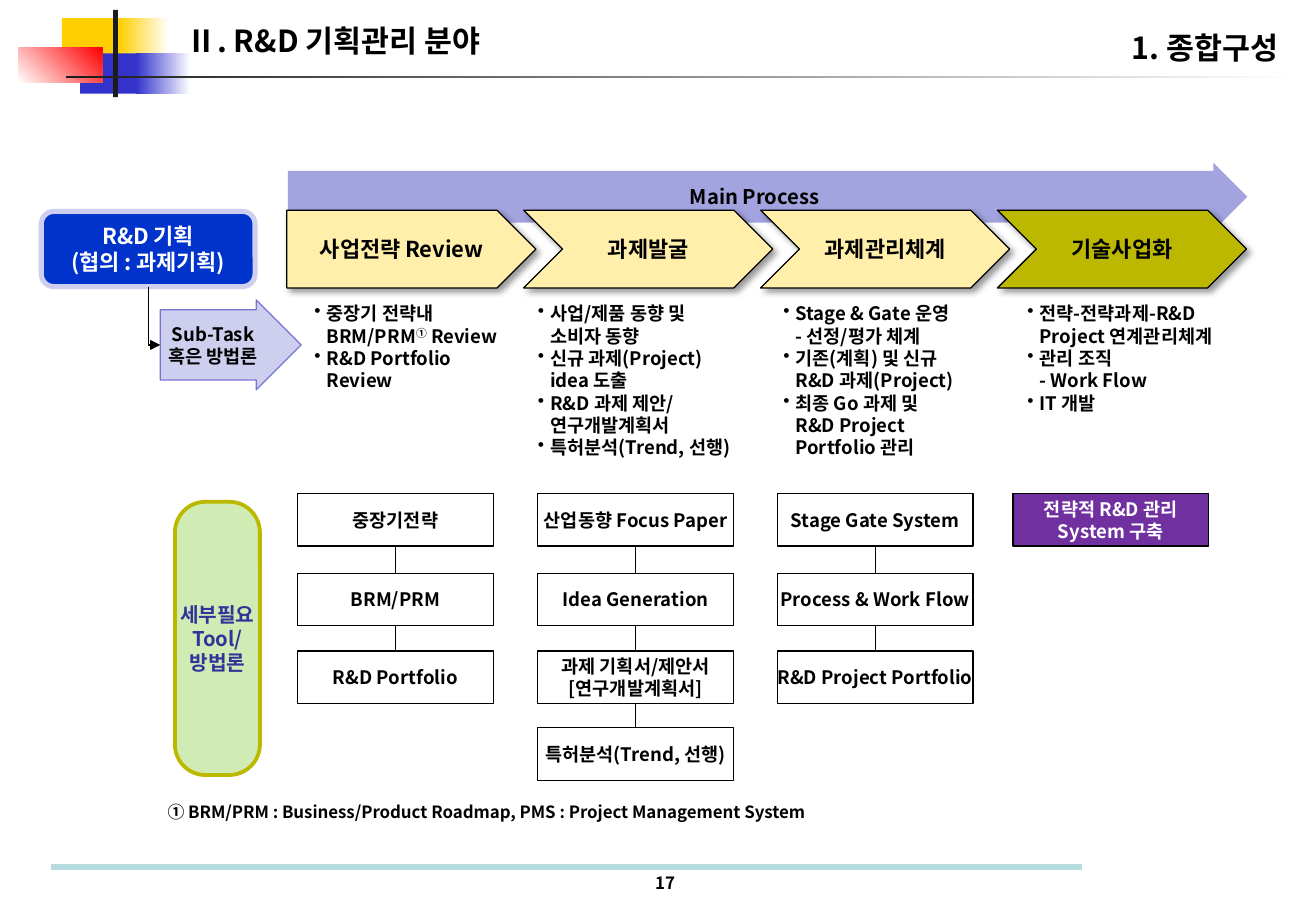
from dataclasses import dataclass

import lxml.etree
import pptx
import pptx.dml.color
import pptx.enum.shapes
import pptx.enum.text
import pptx.oxml.ns
import pptx.util

Pt = pptx.util.Pt
Shape = pptx.enum.shapes.MSO_SHAPE
Line = pptx.enum.shapes.MSO_CONNECTOR
Align = pptx.enum.text.PP_ALIGN
qn = pptx.oxml.ns.qn


@dataclass(frozen=True)
class Theme:
    font: str = "Noto Sans CJK KR"
    line_pitch: float = 1.2
    title_size: int = 18
    stage_size: int = 13
    label_size: int = 12
    body_size: int = 11
    note_size: int = 10
    black: str = "000000"
    white: str = "FFFFFF"
    dark: str = "1C1C1C"
    yellow: str = "FFCF01"
    indigo: str = "3333CC"
    red: str = "FF0000"
    process: str = "A3A3E0"
    stage: str = "FFEFAB"
    olive: str = "BCB800"
    plan: str = "0033CC"
    lavender: str = "CECEEF"
    lavender_edge: str = "7575D1"
    green: str = "D0EBB3"
    navy: str = "333399"
    purple: str = "7030A0"
    footer: str = "B6DCDF"


def rgb(value):
    return pptx.dml.color.RGBColor.from_string(value)


def sub(parent, tag, **attributes):
    return lxml.etree.SubElement(parent, qn(tag), attributes)


class SlideBuilder:
    def __init__(self, slide, theme):
        self.shapes = slide.shapes
        self.theme = theme

    def style(self, paragraph, size, color, align=Align.LEFT):
        paragraph.alignment = align
        paragraph.line_spacing = Pt(round(size * self.theme.line_pitch, 1))
        for run in paragraph.runs:
            run.font.size = Pt(size)
            run.font.bold = True
            run.font.color.rgb = rgb(color)
            run.font.name = self.theme.font
            sub(run._r.get_or_add_rPr(), "a:ea", typeface=self.theme.font)

    def shape(self, kind, box, fill, text="", size=None, color=None,
              edge=None, edge_width=0.75, adjust=()):
        item = self.shapes.add_shape(kind, *map(Pt, box))
        item.shadow.inherit = False
        for index, value in enumerate(adjust):
            item.adjustments[index] = value
        item.fill.solid()
        item.fill.fore_color.rgb = rgb(fill)
        if edge:
            item.line.color.rgb = rgb(edge)
            item.line.width = Pt(edge_width)
        else:
            item.line.fill.background()
        if text:
            frame = item.text_frame
            frame.word_wrap = False
            frame.margin_left = frame.margin_right = 0
            frame.margin_top = frame.margin_bottom = 0
            frame.vertical_anchor = pptx.enum.text.MSO_ANCHOR.MIDDLE
            frame.text = text
            for paragraph in frame.paragraphs:
                self.style(paragraph, size or self.theme.body_size,
                           color or self.theme.black, Align.CENTER)
        return item

    def fade(self, box, start, end, angle=0):
        """Rectangle with a gradient; the angle runs counter-clockwise."""
        band = self.shape(Shape.RECTANGLE, box, start)
        band.fill.gradient()
        band.fill.gradient_angle = angle
        for stop, color in zip(band.fill.gradient_stops, (start, end)):
            stop.color.rgb = rgb(color)

    def drop_shadow(self, item):
        effects = item._element.spPr.find(qn("a:effectLst"))
        shadow = sub(effects, "a:outerShdw", blurRad=str(Pt(4)), dist=str(Pt(3)),
                     dir="2700000", algn="tl", rotWithShape="0")
        color = sub(shadow, "a:srgbClr", val=self.theme.black)
        sub(color, "a:alpha", val="40000")

    def text(self, box, text, size, align=Align.LEFT):
        frame = self.shapes.add_textbox(*map(Pt, box)).text_frame
        frame.word_wrap = align == Align.LEFT
        frame.text = text
        self.style(frame.paragraphs[0], size, self.theme.black, align)

    def bullets(self, box, points):
        """Bulleted list in which the mark ① is raised."""
        frame = self.shapes.add_textbox(*map(Pt, box)).text_frame
        frame.word_wrap = True
        for index, point in enumerate(points):
            paragraph = frame.add_paragraph() if index else frame.paragraphs[0]
            before, mark, after = point.partition("①")
            paragraph.text = before
            if mark:
                raised, rest = paragraph.add_run(), paragraph.add_run()
                raised.text, rest.text = mark, after
                raised._r.get_or_add_rPr().set("baseline", "30000")
            self.style(paragraph, self.theme.body_size, self.theme.black)
            properties = paragraph._p.get_or_add_pPr()
            properties.set("marL", str(Pt(7.2)))
            properties.set("indent", str(-Pt(7.2)))
            sub(properties, "a:buChar", char="•")

    def line(self, start, end, color, width, kind=Line.STRAIGHT):
        link = self.shapes.add_connector(kind, *map(Pt, start + end))
        link.line.color.rgb = rgb(color)
        link.line.width = Pt(width)
        sub(link._element.spPr, "a:effectLst")
        return link

    def join(self, upper, lower):
        link = self.line((0, 0), (0, 0), self.theme.black, 0.75)
        link.begin_connect(upper, 2)
        link.end_connect(lower, 0)

    def corner_arrow(self, source, target):
        """Arrow going down from source, then right into target."""
        link = self.line((0, 0), (0, 0), self.theme.black, 0.75, Line.ELBOW)
        link.begin_connect(source, 2)
        link.end_connect(target, 1)
        x, y = link.begin_x, link.begin_y
        across, down = link.end_x - x, link.end_y - y
        properties = link._element.spPr
        properties.find(qn("a:prstGeom")).set("prst", "bentConnector2")
        frame = properties.find(qn("a:xfrm"))
        frame.set("rot", "16200000")
        frame.set("flipH", "1")
        link.left, link.top = x + (across - down) // 2, y + (down - across) // 2
        link.width, link.height = down, across
        sub(properties.find(qn("a:ln")), "a:tailEnd", type="triangle")


def draw_frame(page, t):
    page.shape(Shape.RECTANGLE, (36.7, 10.8, 38.9, 23.8), t.yellow)
    page.fade((70.6, 10.8, 29.5, 23.8), t.yellow, t.white)
    page.shape(Shape.RECTANGLE, (47.5, 31.7, 37.4, 23.8), t.indigo)
    page.fade((80.6, 31.7, 32.4, 23.8), t.indigo, t.white)
    page.fade((10.8, 28.1, 49.7, 20.9), t.white, t.red, 45)
    page.shape(Shape.RECTANGLE, (67, 5.8, 2.9, 51.8), t.dark)
    page.fade((38.9, 44.9, 730, 1.2), t.dark, t.white)
    page.line((30.2, 514), (641.5, 514), t.footer, 3.5)
    page.text((103.7, 9.4, 206.6, 28.8), "Ⅱ. R&D 기획관리 분야", t.title_size)
    page.text((655.9, 13.7, 108.7, 28.8), "1. 종합구성", t.title_size, Align.RIGHT)
    page.text((380.2, 514, 28, 19.4), "17", t.note_size, Align.CENTER)
    page.text((92.2, 471.6, 399.6, 19.4),
              "① BRM/PRM : Business/Product Roadmap, PMS : Project Management System",
              t.note_size)


def draw_process(page, t):
    page.shape(Shape.RIGHT_ARROW, (170.6, 96.5, 568.8, 40.3), t.process,
               "Main Process", t.label_size, adjust=(0.76, 0.5))
    stages = ("사업전략 Review", "과제발굴", "과제관리체계", "기술사업화")
    for index, stage in enumerate(stages):
        kind = Shape.CHEVRON if index else Shape.PENTAGON
        fill = t.olive if stage == stages[-1] else t.stage
        page.drop_shadow(page.shape(kind, (170 + 140.4 * index, 124.6, 147.6, 46.1),
                                    fill, stage, t.stage_size, edge=t.black))
    plan = page.shape(Shape.ROUNDED_RECTANGLE, (24.5, 125.3, 126.7, 44.6), t.plan,
                      "R&D 기획\n(협의 : 과제기획)", t.stage_size, t.white, t.lavender, 3)
    sub_task = page.shape(Shape.RIGHT_ARROW, (95, 177.8, 83.5, 53.3), t.lavender,
                          "Sub-Task\n혹은 방법론", edge=t.lavender_edge,
                          adjust=(0.78, 0.5))
    page.corner_arrow(plan, sub_task)
    tasks = (
        (179.3, 128.9, ("중장기 전략내 \vBRM/PRM① Review", "R&D Portfolio\vReview")),
        (311.8, 133.9, ("사업/제품 동향 및\v소비자 동향", "신규 과제(Project)\videa 도출",
                        "R&D 과제 제안/\v연구개발계획서", "특허분석(Trend, 선행)")),
        (457.2, 119.5, ("Stage & Gate 운영\v- 선정/평가 체계",
                        "기존(계획) 및 신규\vR&D 과제(Project)",
                        "최종 Go 과제 및\vR&D Project \vPortfolio 관리")),
        (601.9, 129.6, ("전략-전략과제-R&D\vProject 연계관리체계",
                        "관리 조직\v- Work Flow", "IT 개발")),
    )
    for left, width, points in tasks:
        page.bullets((left, 175.7, width, 100.8), points)


def draw_tools(page, t):
    page.shape(Shape.ROUNDED_RECTANGLE, (103.7, 297.4, 50.4, 162), t.green,
               "세부필요\nTool/\n방법론", t.label_size, t.navy, t.olive, 2.25, (0.36,))
    row_tops = (292.5, 339.8, 385.9, 431.3)
    columns = (
        (176.4, ("중장기전략", "BRM/PRM", "R&D Portfolio")),
        (318.8, ("산업동향 Focus Paper", "Idea Generation",
                 "과제 기획서/제안서\n[연구개발계획서]", "특허분석(Trend, 선행)")),
        (460.8, ("Stage Gate System", "Process & Work Flow", "R&D Project Portfolio")),
    )
    for left, tools in columns:
        boxes = [page.shape(Shape.RECTANGLE, (left, top, 116, 31.2), t.white, tool,
                            edge=t.black) for top, tool in zip(row_tops, tools)]
        for upper, lower in zip(boxes, boxes[1:]):
            page.join(upper, lower)
    page.shape(Shape.RECTANGLE, (600.5, row_tops[0], 116, 31.2), t.purple,
               "전략적 R&D 관리\nSystem 구축", color=t.white, edge=t.black)


def main():
    deck = pptx.Presentation()
    deck.slide_width, deck.slide_height = Pt(780), Pt(540)
    theme = Theme()
    page = SlideBuilder(deck.slides.add_slide(deck.slide_layouts[6]), theme)
    draw_frame(page, theme)
    draw_process(page, theme)
    draw_tools(page, theme)
    deck.save("out.pptx")


if __name__ == "__main__":
    main()
